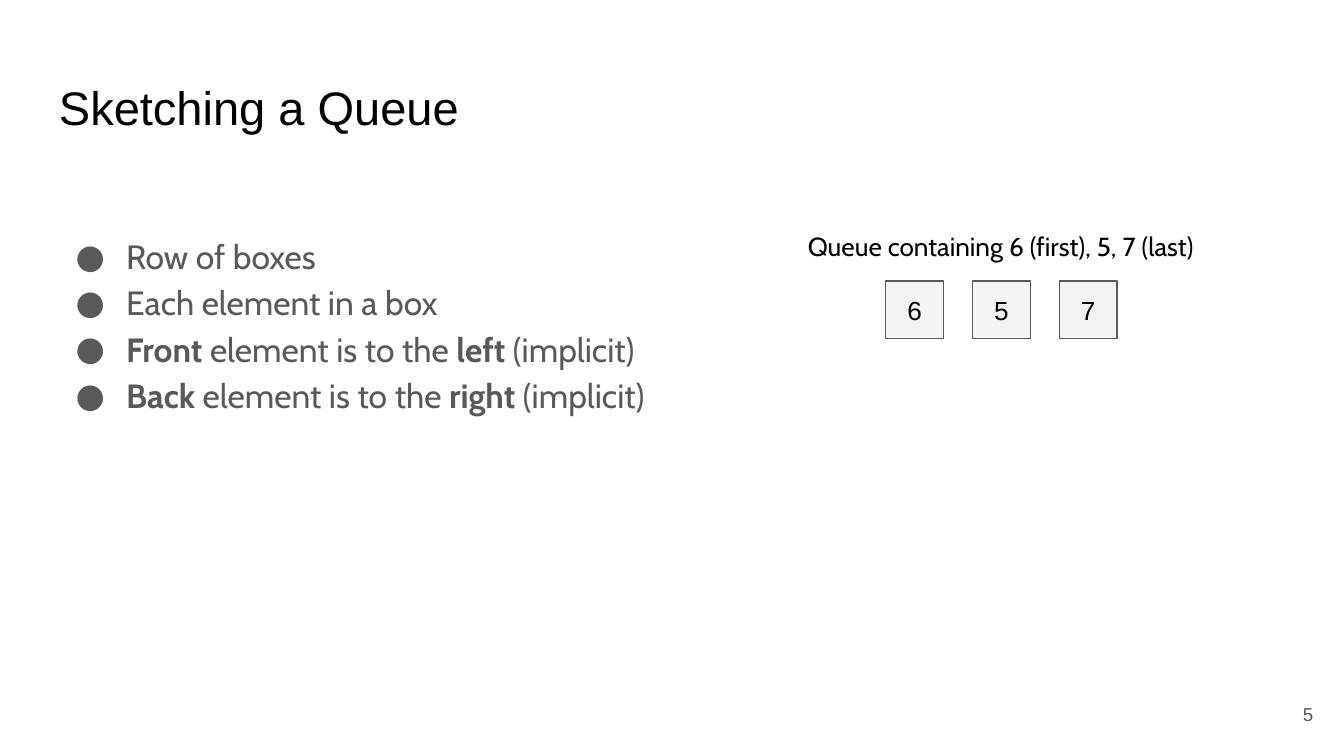
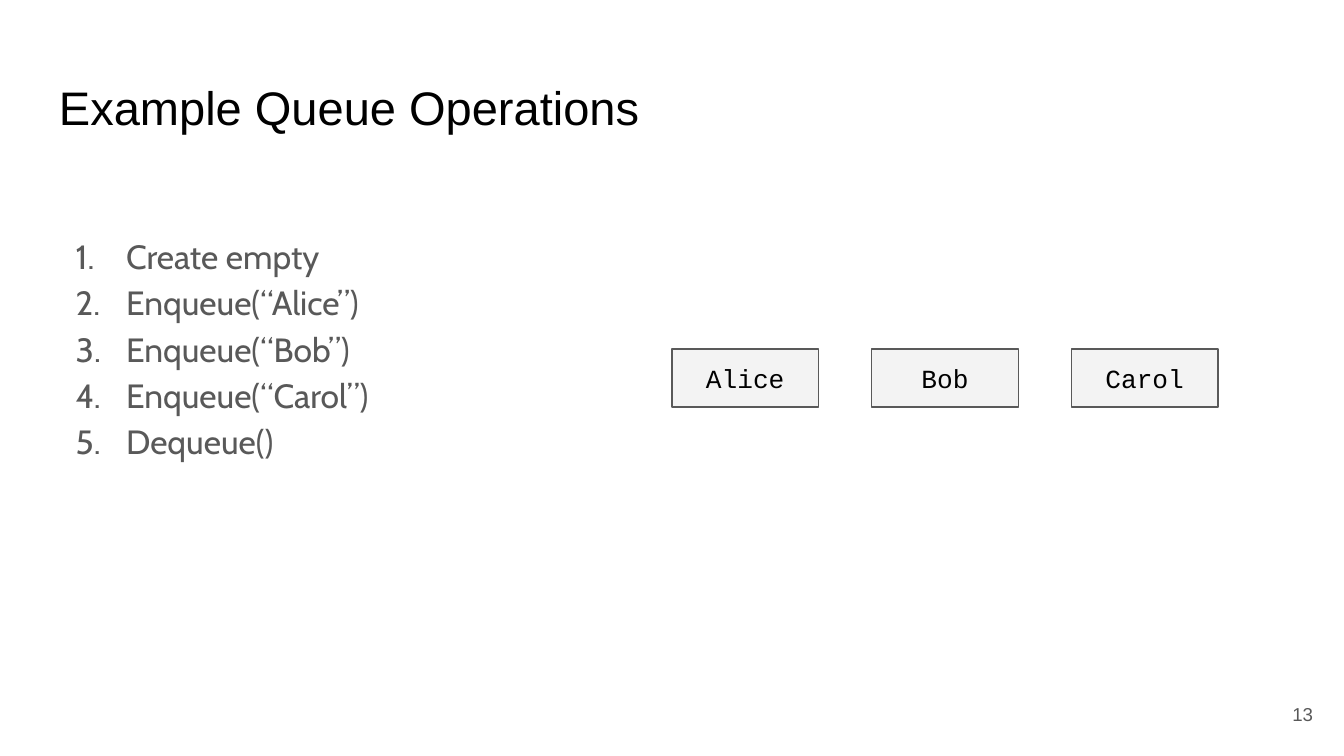
from lxml import etree
from pptx import Presentation
from pptx.dml.color import RGBColor
from pptx.enum.shapes import MSO_SHAPE
from pptx.enum.text import MSO_ANCHOR, PP_ALIGN
from pptx.oxml.ns import qn
from pptx.util import Pt

RECTANGLE = MSO_SHAPE.RECTANGLE
TOP, MIDDLE = MSO_ANCHOR.TOP, MSO_ANCHOR.MIDDLE
LEFT, CENTER, RIGHT = PP_ALIGN.LEFT, PP_ALIGN.CENTER, PP_ALIGN.RIGHT

BLACK, GREY, PALE = "000000", "595959", "F3F3F3"
SANS, BODY, MONO = "Arial", "Cabin", "Courier New"
INSET = 7.2
BOX_HEIGHT = 31

# In list items, words between asterisks are bold.
SLIDES = [
    {
        "title": "Sketching a Queue",
        "number": "5",
        "marker": ("a:buChar", "char", "●"),
        "items": [
            "Row of boxes",
            "Each element in a box",
            "*Front* element is to the *left* (implicit)",
            "*Back* element is to the *right* (implicit)",
        ],
        "caption": "Queue containing 6 (first), 5, 7 (last)",
        "queue": ["6", "5", "7"],
        "queue_font": SANS,
        "queue_left": 474.5, "queue_top": 150.5, "box_width": 31, "pitch": 46.5,
    },
    {
        "title": "Example Queue Operations",
        "number": "13",
        "marker": ("a:buAutoNum", "type", "arabicPeriod"),
        "items": [
            "Create empty",
            "Enqueue(“Alice”)",
            "Enqueue(“Bob”)",
            "Enqueue(“Carol”)",
            "Dequeue()",
        ],
        "caption": None,
        "queue": ["Alice", "Bob", "Carol"],
        "queue_font": MONO,
        "queue_left": 360, "queue_top": 187, "box_width": 78.5, "pitch": 107,
    },
]


def color(value):
    return RGBColor.from_string(value)


def set_text(box, lines, font, size, ink, align=LEFT, anchor=TOP):
    """Fill a shape with lines; text between asterisks becomes bold."""
    frame = box.text_frame
    frame.word_wrap = True
    frame.vertical_anchor = anchor
    frame.margin_left = frame.margin_right = Pt(INSET)
    frame.margin_top = frame.margin_bottom = Pt(INSET)
    for index, line in enumerate(lines):
        para = frame.paragraphs[0] if index == 0 else frame.add_paragraph()
        para.alignment = align
        for position, words in enumerate(line.split("*")):
            if not words:
                continue
            span = para.add_run()
            span.text = words
            span.font.name = font
            span.font.size = Pt(size)
            span.font.bold = position % 2 == 1
            span.font.color.rgb = color(ink)


deck = Presentation()
deck.slide_width, deck.slide_height = Pt(720), Pt(405)

for content in SLIDES:
    page = deck.slides.add_slide(deck.slide_layouts[6])

    title = page.shapes.add_textbox(Pt(24.5), Pt(35), Pt(671), Pt(45))
    set_text(title, [content["title"]], SANS, 25.2, BLACK)

    body = page.shapes.add_textbox(Pt(24.5), Pt(116), Pt(335.5), Pt(244))
    set_text(body, content["items"], BODY, 18, GREY)
    tag, attribute, value = content["marker"]
    for para in body.text_frame.paragraphs:
        para.line_spacing = 1.15
        properties = para._p.get_or_add_pPr()
        properties.set("marL", str(Pt(36)))
        properties.set("indent", str(Pt(-27)))
        marker_color = etree.SubElement(properties, qn("a:buClr"))
        etree.SubElement(marker_color, qn("a:srgbClr"), val=GREY)
        etree.SubElement(properties, qn("a:buSzPct"), val="100000")
        etree.SubElement(properties, qn("a:buFont"), typeface=BODY)
        etree.SubElement(properties, qn(tag)).set(attribute, value)

    number = page.shapes.add_textbox(Pt(667.5), Pt(367), Pt(43), Pt(31))
    set_text(number, [content["number"]], SANS, 10, GREY, RIGHT, MIDDLE)

    if content["caption"]:
        caption = page.shapes.add_textbox(Pt(388), Pt(116), Pt(296.5), Pt(34.5))
        set_text(caption, [content["caption"]], BODY, 14, BLACK, CENTER)

    for index, element in enumerate(content["queue"]):
        box = page.shapes.add_shape(
            RECTANGLE,
            Pt(content["queue_left"] + index * content["pitch"]),
            Pt(content["queue_top"]),
            Pt(content["box_width"]),
            Pt(BOX_HEIGHT),
        )
        box.shadow.inherit = False
        box.fill.solid()
        box.fill.fore_color.rgb = color(PALE)
        box.line.color.rgb = color(GREY)
        box.line.width = Pt(0.75)
        set_text(box, [element], content["queue_font"], 14, BLACK, CENTER, MIDDLE)

deck.save("out.pptx")
